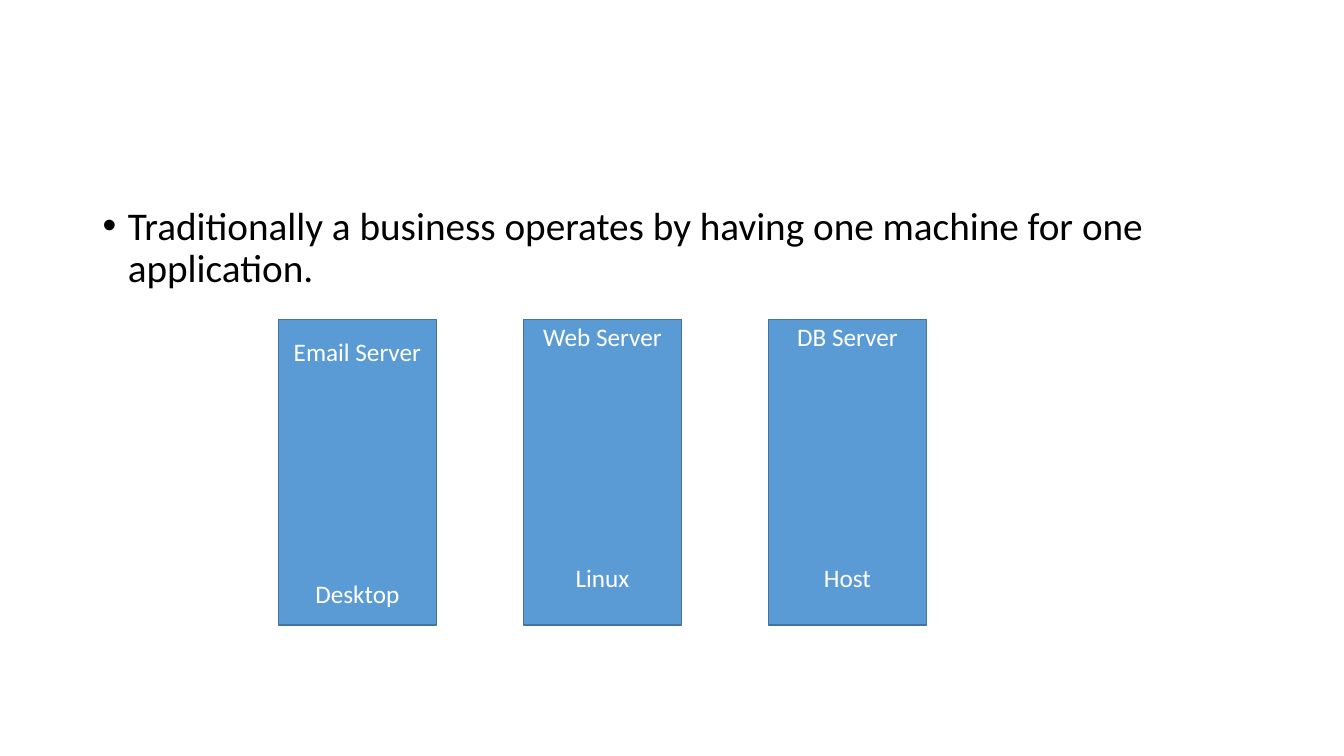
"""Build a slide showing one machine for each business application."""
from lxml import etree
from pptx import Presentation
from pptx.dml.color import RGBColor
from pptx.enum import shapes, text
from pptx.oxml import ns
from pptx.util import Inches, Pt

BLACK = RGBColor(0x00, 0x00, 0x00)
WHITE = RGBColor(0xFF, 0xFF, 0xFF)
BLUE = RGBColor(0x5B, 0x9B, 0xD5)
DARK_BLUE = RGBColor(0x43, 0x73, 0x9E)
FONT = "Calibri"
STATEMENT = "Traditionally a business operates by having one machine for one application."
SERVERS = [
    ("Email Server", "Desktop", 0.05),
    ("Web Server", "Linux", 0.35),
    ("DB Server", "Host", 0.35),
]
FIRST_LEFT, SERVER_STEP = 2.76, 2.43


def add_span(para, words, size, colour):
    """Add one formatted run to a paragraph."""
    span = para.add_run()
    span.text = words
    span.font.name = FONT
    span.font.size = Pt(size)
    span.font.color.rgb = colour


def add_bullet(para, indent):
    """Give a paragraph a round bullet with a hanging indent."""
    properties = para._p.get_or_add_pPr()
    properties.set("marL", str(Inches(indent)))
    properties.set("indent", str(-Inches(indent)))
    font = etree.SubElement(properties, ns.qn("a:buFont"))
    font.set("typeface", "Arial")
    bullet = etree.SubElement(properties, ns.qn("a:buChar"))
    bullet.set("char", "•")


def add_statement(page):
    """Add the bulleted statement above the servers."""
    box = page.shapes.add_textbox(Inches(0.92), Inches(2), Inches(11.5), Inches(4.76))
    box.text_frame.word_wrap = True
    para = box.text_frame.paragraphs[0]
    add_bullet(para, 0.25)
    para.line_spacing = 0.9
    add_span(para, STATEMENT, 28, BLACK)


def add_server(page, left, role, system, bottom_margin):
    """Add a server block with its role above and its system below."""
    server = page.shapes.add_shape(
        shapes.MSO_SHAPE.RECTANGLE, Inches(left), Inches(3.17), Inches(1.57), Inches(3.03)
    )
    server.shadow.inherit = False
    server.fill.solid()
    server.fill.fore_color.rgb = BLUE
    server.line.color.rgb = DARK_BLUE
    server.line.width = Pt(1)
    frame = server.text_frame
    frame.word_wrap = True
    frame.vertical_anchor = text.MSO_ANCHOR.MIDDLE
    frame.margin_bottom = Inches(bottom_margin)
    role_para, system_para = frame.paragraphs[0], frame.add_paragraph()
    system_para.space_before = Pt(151)
    for para, words in ((role_para, role), (system_para, system)):
        para.alignment = text.PP_ALIGN.CENTER
        add_span(para, words, 18, WHITE)


def main():
    """Create and save the presentation."""
    deck = Presentation()
    deck.slide_width, deck.slide_height = Inches(13.33), Inches(7.5)
    page = deck.slides.add_slide(deck.slide_layouts[6])
    add_statement(page)
    for index, server in enumerate(SERVERS):
        add_server(page, FIRST_LEFT + index * SERVER_STEP, *server)
    deck.save("out.pptx")


if __name__ == "__main__":
    main()
